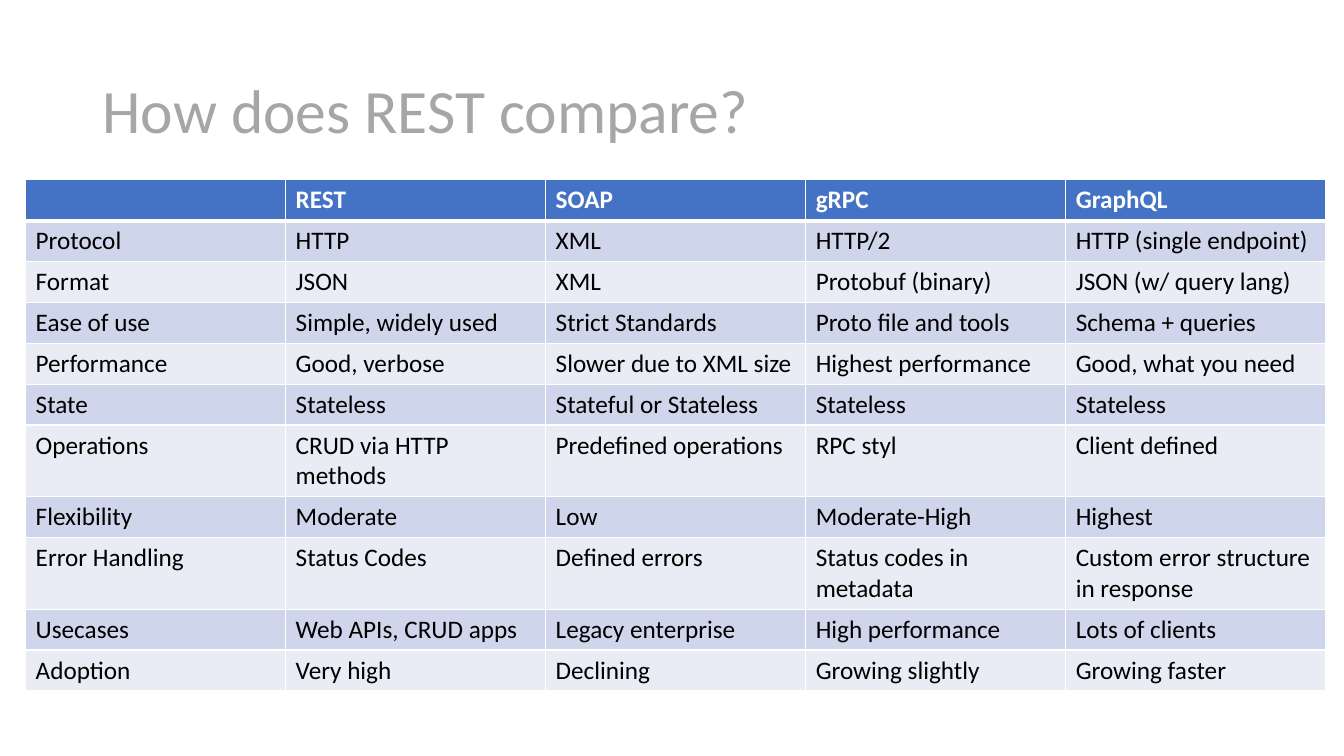
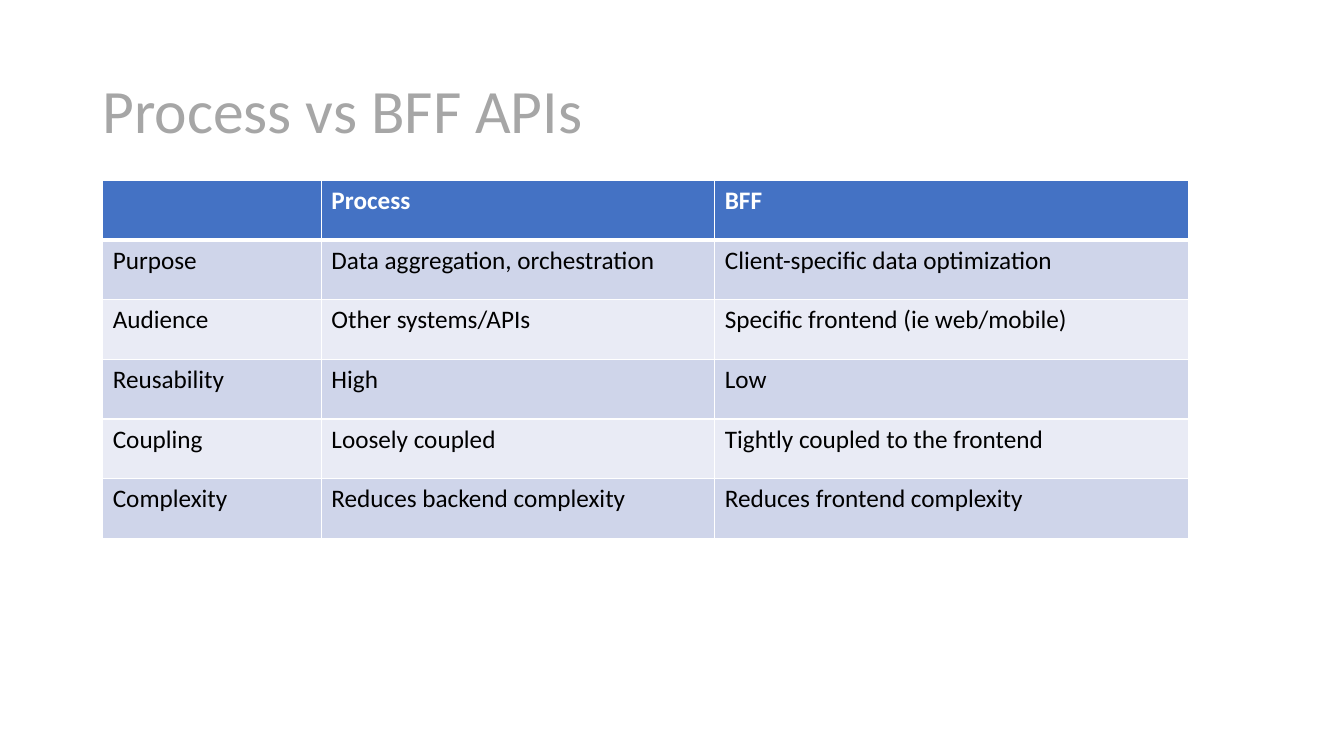
from lxml import etree
from pptx import Presentation
from pptx.dml.color import RGBColor
from pptx.enum.text import MSO_ANCHOR, PP_ALIGN
from pptx.oxml.ns import qn
from pptx.util import Pt

LEFT = PP_ALIGN.LEFT
MIDDLE = MSO_ANCHOR.MIDDLE
TITLE_ONLY = 5

FONT = "Calibri"
TITLE_GREY = "A6A6A6"
HEADER_BLUE = "4472C4"
BAND_FILLS = ("CFD5EA", "E9EBF5")
WHITE = "FFFFFF"
BLACK = "000000"
TITLE_BOX = (66, 28.75, 828, 104.4)
THIN, THICK = 1, 3

REST_COMPARISON = [
    ("", "REST", "SOAP", "gRPC", "GraphQL"),
    ("Protocol", "HTTP", "XML", "HTTP/2", "HTTP (single endpoint)"),
    ("Format", "JSON", "XML", "Protobuf (binary)", "JSON (w/ query lang)"),
    ("Ease of use", "Simple, widely used", "Strict Standards",
     "Proto file and tools", "Schema + queries"),
    ("Performance", "Good, verbose", "Slower due to XML size",
     "Highest performance", "Good, what you need"),
    ("State", "Stateless", "Stateful or Stateless", "Stateless", "Stateless"),
    ("Operations", "CRUD via HTTP methods", "Predefined operations",
     "RPC styl", "Client defined"),
    ("Flexibility", "Moderate", "Low", "Moderate-High", "Highest"),
    ("Error Handling", "Status Codes", "Defined errors",
     "Status codes in metadata", "Custom error structure in response"),
    ("Usecases", "Web APIs, CRUD apps", "Legacy enterprise",
     "High performance", "Lots of clients"),
    ("Adoption", "Very high", "Declining", "Growing slightly", "Growing faster"),
]

API_COMPARISON = [
    ("", "Process", "BFF"),
    ("Purpose", "Data aggregation, orchestration",
     "Client-specific data optimization"),
    ("Audience", "Other systems/APIs", "Specific frontend (ie web/mobile)"),
    ("Reusability", "High", "Low"),
    ("Coupling", "Loosely coupled", "Tightly coupled to the frontend"),
    ("Complexity", "Reduces backend complexity", "Reduces frontend complexity"),
]


def rgb(value):
    return RGBColor.from_string(value)


def style_font(paragraph, size, color, bold=False):
    font = paragraph.font
    font.name, font.size, font.bold = FONT, Pt(size), bold
    font.color.rgb = rgb(color)


def add_title(slide, text, box):
    title = slide.shapes.title
    title.left, title.top, title.width, title.height = map(Pt, box)
    title.text_frame.text = text
    title.text_frame.vertical_anchor = MIDDLE
    heading = title.text_frame.paragraphs[0]
    heading.alignment = LEFT
    heading.line_spacing = 0.9
    style_font(heading, 44, TITLE_GREY)


def set_borders(cell, top, bottom):
    """Draw white cell edges; call before the fill, which must follow them."""
    properties = cell._tc.get_or_add_tcPr()
    for edge, width in (("L", THIN), ("R", THIN), ("T", top), ("B", bottom)):
        line = etree.SubElement(properties, qn(f"a:ln{edge}"), w=str(Pt(width)))
        fill = etree.SubElement(line, qn("a:solidFill"))
        etree.SubElement(fill, qn("a:srgbClr"), val=WHITE)


def style_cell(cell, text, row):
    """Format one cell; row 0 is the header, later rows alternate in fill."""
    is_header = row == 0
    set_borders(cell, THICK if row == 1 else THIN, THICK if is_header else THIN)
    cell.fill.solid()
    cell.fill.fore_color.rgb = rgb(
        HEADER_BLUE if is_header else BAND_FILLS[(row - 1) % 2])
    cell.text = text
    style_font(cell.text_frame.paragraphs[0], 18,
               WHITE if is_header else BLACK, is_header)


def add_comparison(slide, rows, left, top, column_widths, row_height):
    table = slide.shapes.add_table(
        len(rows), len(column_widths), Pt(left), Pt(top),
        Pt(sum(column_widths)), Pt(row_height * len(rows))).table
    for column, width in zip(table.columns, column_widths):
        column.width = Pt(width)
    for row, texts in enumerate(rows):
        table.rows[row].height = Pt(row_height)
        for column, text in enumerate(texts):
            style_cell(table.cell(row, column), text, row)


def add_comparison_slide(deck, title, rows, left, top, column_widths, row_height):
    slide = deck.slides.add_slide(deck.slide_layouts[TITLE_ONLY])
    add_title(slide, title, TITLE_BOX)
    add_comparison(slide, rows, left, top, column_widths, row_height)


def main():
    deck = Presentation()
    deck.slide_width, deck.slide_height = Pt(960), Pt(540)
    add_comparison_slide(deck, "How does REST compare?", REST_COMPARISON,
                         18.3, 128.4, [185.75] * 5, 29.2)
    add_comparison_slide(deck, "Process vs BFF APIs", API_COMPARISON,
                         73.4, 129, [156.2, 281, 338.6], 42.6)
    deck.save("out.pptx")


if __name__ == "__main__":
    main()
